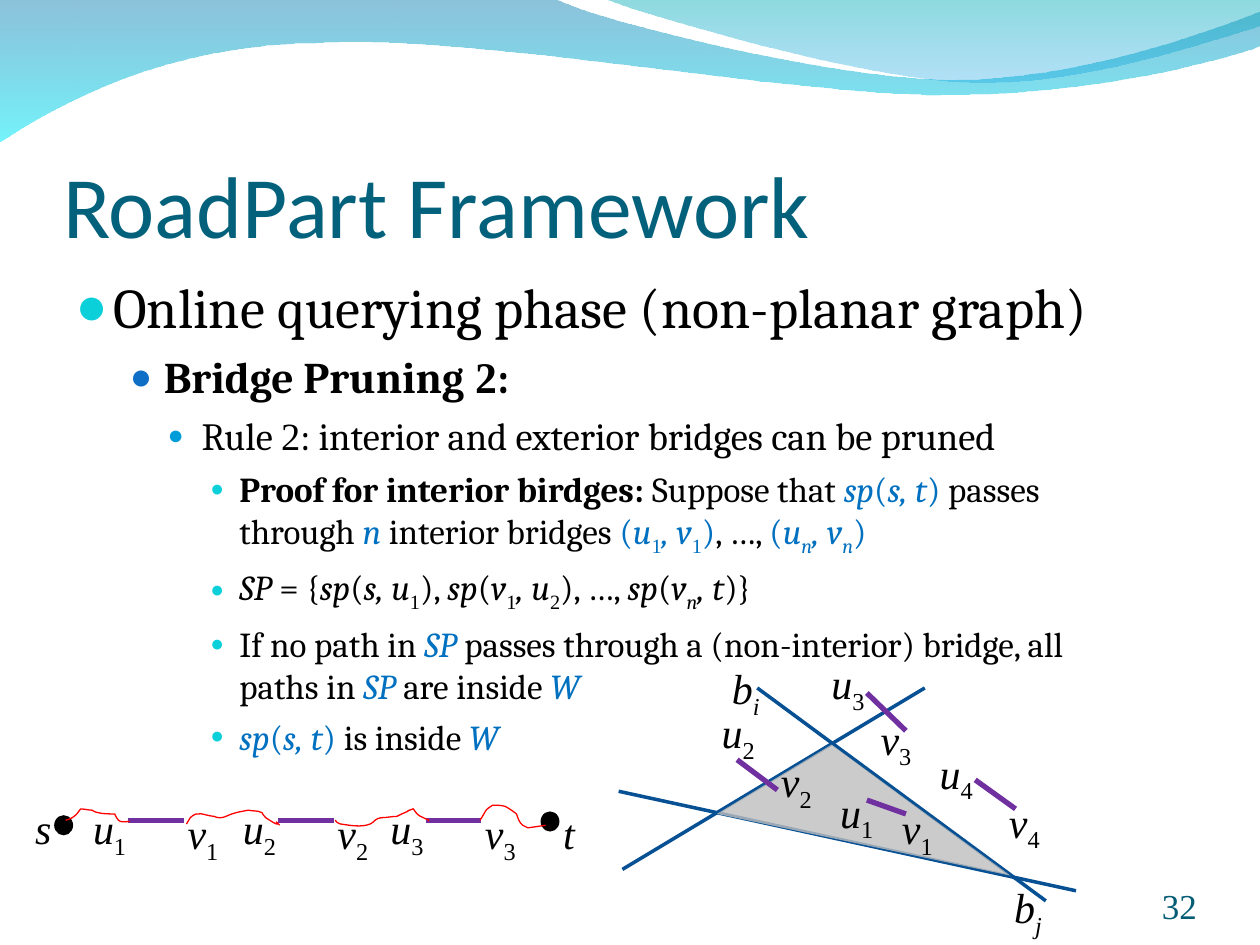
from lxml.etree import SubElement
from pptx import Presentation
from pptx.dml.color import RGBColor
from pptx.enum.shapes import MSO_CONNECTOR, MSO_SHAPE
from pptx.enum.text import MSO_ANCHOR, MSO_AUTO_SIZE, PP_ALIGN
from pptx.oxml.ns import qn
from pptx.util import Cm, Pt

TITLE_TEAL = RGBColor(0x04, 0x61, 0x7B)
NUMBER_TEAL = RGBColor(0x04, 0x5C, 0x75)
BLACK = RGBColor(0, 0, 0)
BLUE = RGBColor(0x00, 0x70, 0xC0)
ROAD = RGBColor(0x06, 0x50, 0x93)
BRIDGE = RGBColor(0x70, 0x30, 0xA0)
GREY = RGBColor(0xBF, 0xBF, 0xBF)
RED = RGBColor(0xFF, 0, 0)
WAVE_BACK = (RGBColor(0x00, 0x79, 0xAF), RGBColor(0x00, 0xEB, 0xF8))
WAVE_FRONT = (RGBColor(0x00, 0xAD, 0xB6), RGBColor(0x00, 0x9B, 0xE5))

SERIF, TIMES = "Cambria", "Times New Roman"
STYLES = {
    "b": {"bold": True},
    "i": {"italic": True},
    "c": {"color": BLUE},
    "t": {"name": TIMES},
    "s": {"baseline": -25000},
}
LEVELS = [
    {"size": 32, "indent": 0.3, "hang": 0.3, "before": 8, "bullet": "0BD0D9", "scale": 95},
    {"size": 25, "indent": 0.7, "hang": 0.27, "before": 6.2, "bullet": "0F6FC6", "scale": 85},
    {"size": 22, "indent": 1, "hang": 0.27, "before": 5.5, "bullet": "009DD9", "scale": 70},
    {"size": 20, "indent": 1.3, "hang": 0.23, "before": 5, "bullet": "0BD0D9", "scale": 65},
]
OUTLINE = [
    (0, [("Online querying phase (non-planar graph)", "")]),
    (1, [("Bridge Pruning", "b"), (" 2", "bt"), (":", "b")]),
    (2, [("Rule ", ""), ("2", "t"), (": interior and exterior bridges can be pruned", "")]),
    (3, [("Proof for interior birdges:", "b"), (" Suppose that ", ""), ("sp", "ci"),
         ("(", "c"), ("s, t", "ci"), (") ", "c"), ("passes through ", ""), ("n", "ci"),
         (" interior bridges ", ""), ("(", "c"), ("u", "ci"), ("1", "cts"), (", v", "ci"),
         ("1", "cts"), (")", "c"), (", …, ", ""), ("(", "c"), ("u", "ci"), ("n", "cis"),
         (", v", "ci"), ("n", "cis"), (")", "c")]),
    (3, [("SP", "i"), (" = {", ""), ("sp", "i"), ("(", ""), ("s, u", "i"), ("1", "ts"),
         ("), ", ""), ("sp", "i"), ("(", ""), ("v", "i"), ("1", "ts"), (", u", "i"),
         ("2", "ts"), ("), …, ", ""), ("sp", "i"), ("(", ""), ("v", "i"), ("n", "is"),
         (", t", "i"), (")}", "")]),
    (3, [("If no path in ", ""), ("SP", "ci"),
         (" passes through a (non-interior) bridge, all paths in ", ""), ("SP", "ci"),
         (" are inside ", ""), ("W", "ci")]),
    (3, [("sp", "ci"), ("(", "c"), ("s, t", "ci"), (")", "c"), (" is inside ", ""), ("W", "ci")]),
]


def units(value):
    """Turn a length in slide grid units of 2.54 cm into Cm."""
    return Cm(value * 2.54)


def place(shape, box):
    """Move and size a shape to a left, top, width, height box."""
    for name, value in zip(("left", "top", "width", "height"), box):
        setattr(shape, name, units(value))


def set_frame(frame, insets, **formats):
    """Set the insets and other text frame properties."""
    for side, value in zip(("left", "top", "right", "bottom"), insets):
        setattr(frame, f"margin_{side}", units(value))
    for name, value in formats.items():
        setattr(frame, name, value)


def add_run(paragraph, text, codes="", **formats):
    """Add a run whose style codes are looked up in STYLES."""
    run = paragraph.add_run()
    run.text = text
    look = {"name": SERIF, "color": BLACK, "bold": False, "italic": False, **formats}
    for code in codes:
        look.update(STYLES[code])
    run.font.color.rgb = look.pop("color")
    if "baseline" in look:
        run._r.get_or_add_rPr().set("baseline", str(look.pop("baseline")))
    for name, value in look.items():
        setattr(run.font, name, value)


def add_label(slide, origin, at, letter, subscript="", codes="s"):
    """Add an italic vertex label with an optional subscript."""
    width = {"u": 0.47, "v": 0.46, "b": 0.43, "s": 0.33, "t": 0.29}[letter]
    label = slide.shapes.add_textbox(0, 0, 0, 0)
    place(label, (origin[0] + at[0], origin[1] + at[1], width, 0.56 if subscript else 0.5))
    set_frame(label.text_frame, (0.1, 0.05, 0.1, 0.05), word_wrap=False,
              auto_size=MSO_AUTO_SIZE.SHAPE_TO_FIT_TEXT)
    paragraph = label.text_frame.paragraphs[0]
    add_run(paragraph, letter, "i", name=TIMES, size=Pt(24))
    if subscript:
        add_run(paragraph, subscript, codes, name=TIMES, size=Pt(24))


def add_line(slide, origin, ends, color, width):
    """Draw a straight line given as x1, y1, x2, y2 from the origin."""
    x, y = origin
    x1, y1, x2, y2 = ends
    line = slide.shapes.add_connector(
        MSO_CONNECTOR.STRAIGHT, units(x + x1), units(y + y1), units(x + x2), units(y + y2))
    line.line.color.rgb = color
    line.line.width = Pt(width)
    SubElement(line.element.spPr, qn("a:effectLst"))


def add_outline(slide, origin, start, segments, close):
    """Build a freeform from lines and cubic curves given from the origin."""
    knots = [start] + [s[i:i + 2] for s in segments for i in range(0, len(s), 2)]
    points = [(units(origin[0] + x), units(origin[1] + y)) for x, y in knots]
    builder = slide.shapes.build_freeform(*points[0], scale=1.0)
    builder.add_line_segments(points[1:], close=close)
    outline = builder.convert_to_shape()
    outline.shadow.inherit = False
    steps = iter(list(outline.element.spPr.iter(qn("a:lnTo"))))
    for segment in segments:
        curve = next(steps)
        if len(segment) == 6:
            bezier = SubElement(curve.getparent(), qn("a:cubicBezTo"))
            curve.addprevious(bezier)
            for step in (curve, next(steps), next(steps)):
                bezier.append(step[0])
                step.getparent().remove(step)
    return outline


def set_opacity(shape, percents):
    """Give each fill colour of a shape its opacity."""
    for color, percent in zip(shape.element.spPr.iter(qn("a:srgbClr")), percents):
        SubElement(color, qn("a:alpha"), val=str(percent * 1000))


def add_waves(slide, origin):
    """Draw the two gradient waves of the header behind everything else."""
    back = [(4.4, -0.01), (4.76, 0.17, 6.64, 0.63, 7.58, 0.63), (8.53, 0.63, 9.58, 0.26, 10, 0.09),
            (10.01, 0.36), (9.83, 0.44, 8.7, 0.76, 7.46, 0.75), (6.22, 0.75, 3.82, 0.28, 2.57, 0.34),
            (1.29, 0.35, 0.46, 0.83, -0.01, 1.13)]
    front = [(5.09, 0.11, 6.82, 0.62, 7.69, 0.65), (8.56, 0.69, 9.61, 0.32, 10, 0.21), (10, 0)]
    waves = [((0, -0.01), back, WAVE_BACK, (45, 55)), ((4.79, -0.01), front, WAVE_FRONT, (45, 30))]
    for depth, (start, segments, colors, opacity) in enumerate(waves):
        wave = add_outline(slide, origin, start, segments, True)
        wave.line.fill.background()
        wave.fill.gradient()
        wave.fill.gradient_angle = 270
        for position, (stop, color) in enumerate(zip(wave.fill.gradient_stops, colors)):
            stop.color.rgb = color
            stop.position = position
        set_opacity(wave, opacity)
        slide.shapes.element.insert(2 + depth, wave.element)


def add_title(slide, box):
    """Fill the title placeholder."""
    title = slide.shapes.title
    place(title, box)
    set_frame(title.text_frame, (0, 0.05, 0, 0), vertical_anchor=MSO_ANCHOR.BOTTOM,
              auto_size=MSO_AUTO_SIZE.NONE)
    paragraph = title.text_frame.paragraphs[0]
    paragraph.alignment = PP_ALIGN.LEFT
    add_run(paragraph, "RoadPart Framework", name="Calibri", size=Pt(50), color=TITLE_TEAL)


def add_body(slide, box):
    """Fill the body placeholder with the bulleted outline."""
    body = slide.placeholders[1]
    place(body, box)
    frame = body.text_frame
    set_frame(frame, (0.1, 0.05, 0.1, 0.05), auto_size=MSO_AUTO_SIZE.NONE)
    for index, (depth, runs) in enumerate(OUTLINE):
        paragraph = frame.add_paragraph() if index else frame.paragraphs[0]
        level = LEVELS[depth]
        paragraph.level = depth
        paragraph.space_before = Pt(level["before"] if index else 0)
        properties = paragraph._p.get_or_add_pPr()
        properties.set("marL", str(units(level["indent"])))
        properties.set("indent", str(-units(level["hang"])))
        SubElement(SubElement(properties, qn("a:buClr")), qn("a:srgbClr"), val=level["bullet"])
        SubElement(properties, qn("a:buSzPct"), val=str(level["scale"] * 1000))
        SubElement(properties, qn("a:buChar"), char="●")
        for text, codes in runs:
            add_run(paragraph, text, codes, size=Pt(level["size"]))


def add_number(slide, box):
    """Place the slide number."""
    number = slide.shapes.add_textbox(0, 0, 0, 0)
    place(number, box)
    set_frame(number.text_frame, (0, 0, 0, 0), vertical_anchor=MSO_ANCHOR.BOTTOM, word_wrap=True)
    paragraph = number.text_frame.paragraphs[0]
    paragraph.alignment = PP_ALIGN.RIGHT
    add_run(paragraph, "32", name=TIMES, size=Pt(20), color=NUMBER_TEAL)


def add_network(slide, origin):
    """Draw the roads, the region they enclose and the four bridges."""
    for ends in [(1.11, 0.36, 3.4, 2.05), (0.04, 1.8, 2.44, 0.36), (0.01, 1.18, 3.64, 1.97)]:
        add_line(slide, origin, ends, ROAD, 2)
    region = add_outline(slide, origin, (1.7, 0.81), [(0.79, 1.36), (3.12, 1.85)], True)
    region.fill.solid()
    region.fill.fore_color.rgb = GREY
    region.line.fill.background()
    set_opacity(region, [80])
    bridges = [
        ((1.98, 1.25, 2.29, 1.36), (1.67, 1.09), (2.16, 1.22)),
        ((0.95, 0.93, 1.27, 1.17), (0.73, 0.46), (1.2, 0.85)),
        ((1.98, 0.4, 2.29, 0.7), (1.6, 0.07), (1.99, 0.51)),
        ((2.84, 1.09, 3.16, 1.32), (2.46, 0.78), (3.01, 1.17)),
    ]
    for number, (ends, u_at, v_at) in enumerate(bridges, 1):
        add_line(slide, origin, ends, BRIDGE, 3)
        add_label(slide, origin, u_at, "u", str(number))
        add_label(slide, origin, v_at, "v", str(number))
    add_label(slide, origin, (0.81, 0.11), "b", "i", "is")
    add_label(slide, origin, (3.05, 1.85), "b", "j", "is")


def add_route(slide, origin):
    """Draw the path from s to t over three bridges."""
    for number, left in enumerate((0.64, 1.83, 3), 1):
        add_label(slide, origin, (left, 0.02), "u", str(number))
        add_label(slide, origin, (left + 0.75, 0.06), "v", str(number))
        add_line(slide, origin, (left + 0.38, 0.21, left + 0.82, 0.21), BRIDGE, 3)
    for letter, label_at, dot_at in [("s", (0.18, 0.02), (0.43, 0.17)),
                                     ("t", (4.37, 0.06), (4.29, 0.14))]:
        add_label(slide, origin, label_at, letter)
        dot = slide.shapes.add_shape(MSO_SHAPE.OVAL, 0, 0, 0, 0)
        place(dot, (origin[0] + dot_at[0], origin[1] + dot_at[1], 0.15, 0.16))
        dot.shadow.inherit = False
        dot.fill.solid()
        dot.fill.fore_color.rgb = BLACK
        dot.line.fill.background()
    squiggles = [
        ((0.52, 0.21), [(0.56, 0.2, 0.58, 0.19, 0.61, 0.16), (0.62, 0.15, 0.63, 0.13, 0.64, 0.12),
                        (0.67, 0.12, 0.7, 0.13, 0.73, 0.13), (0.75, 0.14, 0.76, 0.15, 0.78, 0.15),
                        (0.82, 0.16, 0.87, 0.16, 0.91, 0.16), (0.92, 0.18, 0.93, 0.2, 0.94, 0.21),
                        (0.96, 0.23, 1, 0.22, 1.03, 0.22)]),
        ((1.48, 0.24), [(1.49, 0.22, 1.49, 0.21, 1.51, 0.19), (1.57, 0.13, 1.61, 0.17, 1.7, 0.18),
                        (1.72, 0.18, 1.73, 0.2, 1.75, 0.19), (1.78, 0.19, 1.81, 0.17, 1.84, 0.16),
                        (1.91, 0.14, 1.87, 0.15, 1.97, 0.13), (2.01, 0.14, 2.04, 0.13, 2.08, 0.15),
                        (2.09, 0.16, 2.09, 0.18, 2.11, 0.19), (2.29, 0.31, 2.14, 0.17, 2.22, 0.25)]),
        ((2.66, 0.21), [(2.67, 0.22, 2.68, 0.24, 2.7, 0.24), (2.77, 0.25, 2.87, 0.27, 2.94, 0.24),
                        (2.99, 0.21, 2.97, 0.2, 3.03, 0.19), (3.07, 0.19, 3.11, 0.18, 3.15, 0.18),
                        (3.16, 0.17, 3.18, 0.17, 3.19, 0.16), (3.31, 0.11, 3.17, 0.16, 3.28, 0.12),
                        (3.31, 0.16, 3.31, 0.17, 3.36, 0.19), (3.41, 0.22, 3.4, 0.19, 3.4, 0.22)]),
        ((3.81, 0.21), [(3.88, 0.1, 3.84, 0.14, 3.91, 0.09), (3.94, 0.09, 3.98, 0.09, 4.01, 0.1),
                        (4.05, 0.12, 4.1, 0.16, 4.1, 0.16), (4.11, 0.19, 4.12, 0.23, 4.15, 0.25),
                        (4.16, 0.26, 4.18, 0.26, 4.19, 0.27), (4.33, 0.25)]),
    ]
    for start, segments in squiggles:
        squiggle = add_outline(slide, origin, start, segments, False)
        squiggle.fill.background()
        squiggle.line.color.rgb = RED
        squiggle.line.width = Pt(0.75)


def main():
    """Build the slide and save it."""
    deck = Presentation()
    deck.slide_width, deck.slide_height = Cm(25.4), Cm(19.05)
    slide = deck.slides.add_slide(deck.slide_layouts[1])
    add_waves(slide, (0, 0))
    add_title(slide, (0.5, 0.78, 9, 1.25))
    add_body(slide, (0.5, 2.11, 8.63, 5.1))
    add_number(slide, (8.67, 6.95, 0.83, 0.4))
    add_network(slide, (4.9, 5.1))
    add_route(slide, (0, 6.3))
    deck.save("out.pptx")


if __name__ == "__main__":
    main()
